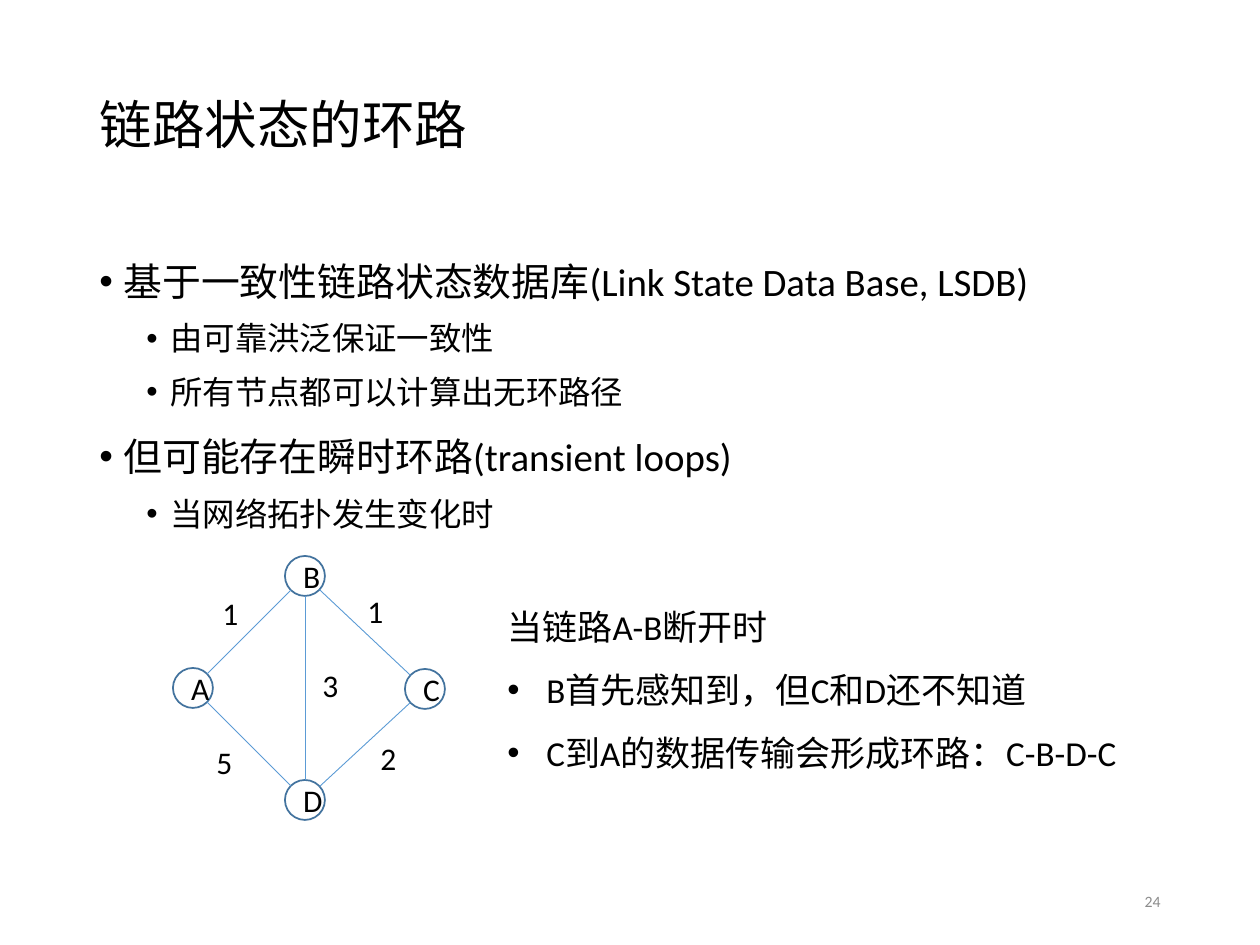
from dataclasses import dataclass
from math import hypot

from lxml import etree
from pptx import Presentation
from pptx import util as u
from pptx.dml.color import RGBColor
from pptx.enum import shapes, text
from pptx.oxml.ns import qn


@dataclass(frozen=True)
class Theme:
    font: str = "Calibri"
    ink: str = "000000"
    muted: str = "8C8C8C"
    paper: str = "FFFFFF"
    node_line: str = "43739E"
    link: str = "5B9BD5"
    title: float = 30
    body: float = 22.2
    sub: float = 18.5
    note: float = 20
    label: float = 18
    number: float = 9


T = Theme()
PX = 914400 / 126
RADIUS = 20

BODY = [
    (0, "基于一致性链路状态数据库(Link State Data Base, LSDB)"),
    (1, "由可靠洪泛保证一致性"),
    (1, "所有节点都可以计算出无环路径"),
    (0, "但可能存在瞬时环路(transient loops)"),
    (1, "当网络拓扑发生变化时"),
]
NODES = {"B": (305, 576), "D": (305, 800), "A": (193, 688), "C": (425, 689)}
# ends of the link, cost, left and top of the cost label
LINKS = [
    ("A", "B", "1", 210, 588),
    ("B", "C", "1", 355, 586),
    ("A", "D", "5", 204, 737),
    ("C", "D", "2", 368, 733),
    ("B", "D", "3", 310, 660),
]
NOTES = ["B首先感知到，但C和D还不知道", "C到A的数据传输会形成环路：C-B-D-C"]


def px(n):
    return u.Emu(round(n * PX))


def rgb(color):
    return RGBColor.from_string(color)


def add_bullet(p, indent, hang):
    pPr = p._p.get_or_add_pPr()
    pPr.set("marL", str(px(indent)))
    pPr.set("indent", str(-px(hang)))
    etree.SubElement(pPr, qn("a:buFont")).set("typeface", "Arial")
    etree.SubElement(pPr, qn("a:buChar")).set("char", "•")


def write(tf, words, size=T.label, color=T.ink, align=text.PP_ALIGN.LEFT,
          spacing=None, before=0, level=0, bullet=None):
    """Fill the empty first paragraph, or add one; bullet is (indent, hang)."""
    p = tf.paragraphs[0]
    first = not p.runs
    if not first:
        p = tf.add_paragraph()
    if bullet:
        add_bullet(p, *bullet)
    p.level = level
    p.alignment = align
    if spacing:
        p.line_spacing = spacing
    p.space_before = u.Pt(0 if first else before)
    r = p.add_run()
    r.text = words
    r.font.name = T.font
    r.font.size = u.Pt(size)
    r.font.color.rgb = rgb(color)


def add_box(slide, x, y, w, h, wrap=True, anchor=text.MSO_ANCHOR.TOP):
    tf = slide.shapes.add_textbox(px(x), px(y), px(w), px(h)).text_frame
    tf.word_wrap = wrap
    tf.vertical_anchor = anchor
    return tf


def add_title(slide, words):
    sp = slide.shapes.title
    sp.left, sp.top, sp.width, sp.height = px(87), px(50), px(1086), px(155)
    sp.text_frame.vertical_anchor = text.MSO_ANCHOR.MIDDLE
    write(sp.text_frame, words, size=T.title, spacing=0.9)


def add_body(slide):
    tf = add_box(slide, 87, 242, 1086, 304)
    for level, words in BODY:
        write(tf, words, size=T.sub if level else T.body, spacing=1.2,
              before=3.8 if level else 7.5, level=level,
              bullet=(24 + 47 * level, 24))


def add_node(slide, name):
    x, y = NODES[name]
    sp = slide.shapes.add_shape(shapes.MSO_SHAPE.OVAL, px(x - RADIUS), px(y - RADIUS),
                                px(2 * RADIUS), px(2 * RADIUS))
    sp.shadow.inherit = False
    sp.fill.solid()
    sp.fill.fore_color.rgb = rgb(T.paper)
    sp.line.color.rgb = rgb(T.node_line)
    sp.line.width = u.Pt(1)
    sp.text_frame.vertical_anchor = text.MSO_ANCHOR.MIDDLE
    write(sp.text_frame, name, align=text.PP_ALIGN.CENTER)


def add_link(slide, start, end):
    """Draw a line between the rims of two nodes."""
    (x1, y1), (x2, y2) = NODES[start], NODES[end]
    reach = RADIUS / hypot(x2 - x1, y2 - y1)
    dx, dy = (x2 - x1) * reach, (y2 - y1) * reach
    line = slide.shapes.add_connector(shapes.MSO_CONNECTOR.STRAIGHT, px(x1 + dx),
                                      px(y1 + dy), px(x2 - dx), px(y2 - dy))
    line.line.color.rgb = rgb(T.link)
    line.line.width = u.Pt(0.5)
    etree.SubElement(line._element.spPr, qn("a:effectLst"))


def add_topology(slide):
    for name in NODES:
        add_node(slide, name)
    for start, end, cost, x, y in LINKS:
        add_link(slide, start, end)
        write(add_box(slide, x, y, 42, 50, wrap=False), cost)


def add_notes_box(slide):
    tf = add_box(slide, 495, 578, 640, 204)
    write(tf, "当链路A-B断开时", size=T.note, spacing=1.5)
    for words in NOTES:
        write(tf, words, size=T.note, spacing=1.5, bullet=(39, 39))


def main():
    prs = Presentation()
    prs.slide_width, prs.slide_height = px(1260), px(945)
    slide = prs.slides.add_slide(prs.slide_layouts[5])
    add_title(slide, "链路状态的环路")
    add_body(slide)
    add_topology(slide)
    add_notes_box(slide)
    number = add_box(slide, 890, 876, 283, 50, anchor=text.MSO_ANCHOR.MIDDLE)
    write(number, "24", size=T.number, color=T.muted, align=text.PP_ALIGN.RIGHT)
    prs.save("out.pptx")


if __name__ == "__main__":
    main()
